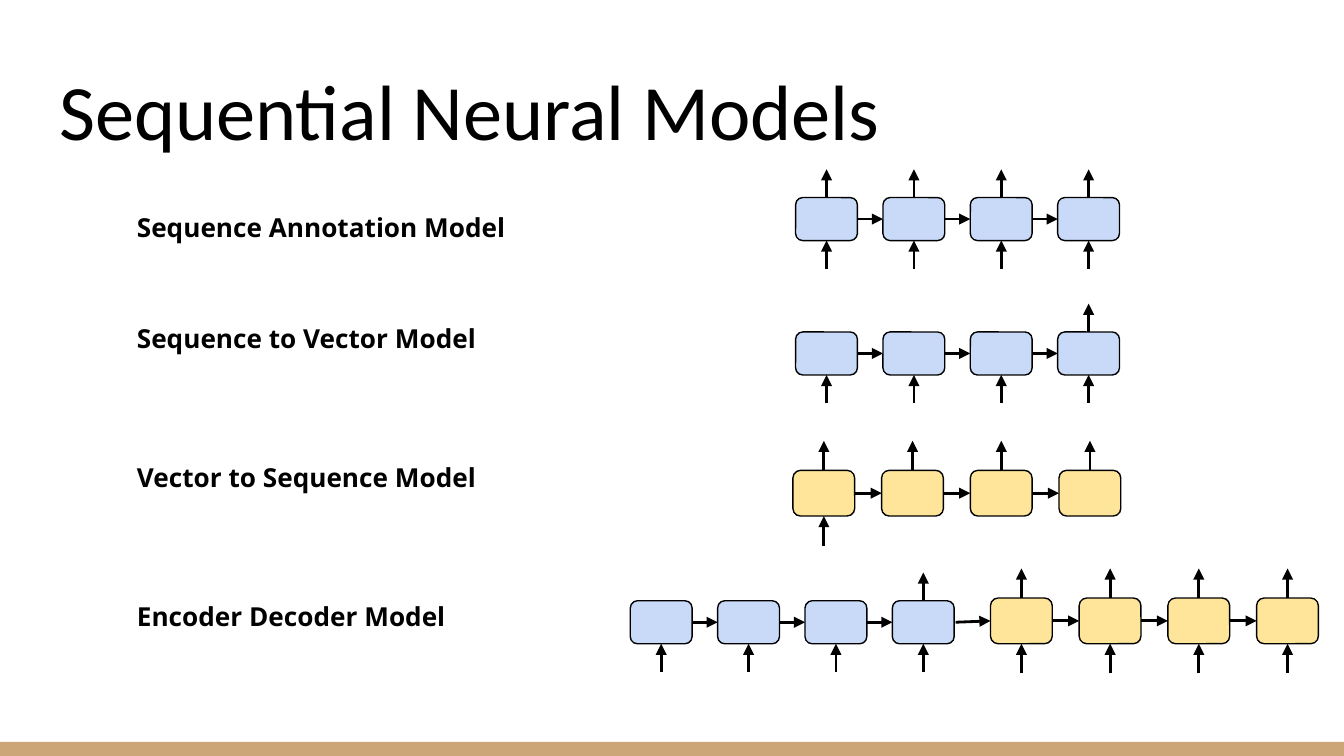
"""Build a slide that compares four sequential neural network layouts."""
from dataclasses import dataclass

from lxml import etree
from pptx import Presentation
from pptx.dml.color import RGBColor
from pptx.enum.shapes import MSO_CONNECTOR, MSO_SHAPE
from pptx.enum.text import MSO_ANCHOR, MSO_AUTO_SIZE, PP_ALIGN
from pptx.oxml.ns import qn
from pptx.shapes.connector import Connector
from pptx.shapes.shapetree import GroupShapes
from pptx.slide import Slide
from pptx.text.text import TextFrame
from pptx.util import Inches, Pt

STRAIGHT = MSO_CONNECTOR.STRAIGHT
RECTANGLE, ROUNDED = MSO_SHAPE.RECTANGLE, MSO_SHAPE.ROUNDED_RECTANGLE
TOP, BOTTOM = MSO_ANCHOR.TOP, MSO_ANCHOR.BOTTOM
LEFT = PP_ALIGN.LEFT
NO_AUTOFIT = MSO_AUTO_SIZE.NONE
TITLE_ONLY = 5
PAGE_WIDTH = Inches(10)
PAGE_HEIGHT = PAGE_WIDTH * 9 // 16


@dataclass(frozen=True)
class Theme:
    """Colours, fonts and type sizes of the slide."""
    ink: RGBColor = RGBColor.from_string("000000")
    band: RGBColor = RGBColor.from_string("CCA677")
    encoder: RGBColor = RGBColor.from_string("C9DAF8")
    decoder: RGBColor = RGBColor.from_string("FFE599")
    title_font: str = "Calibri"
    label_font: str = "Open Sans"
    title_size: float = 42
    label_size: float = 14
    outline: float = 0.75
    arrow: float = 1.5


THEME = Theme()


@dataclass(frozen=True)
class CellStyle:
    """Fill and measures, in inches, shared by the cells of a chain."""
    fill: RGBColor
    height: float
    pitch: float
    stem: float
    width: float = 0.46


@dataclass(frozen=True)
class Label:
    """Name of a model and the place of its text box."""
    text: str
    top: float
    width: float = 3.01


@dataclass(frozen=True)
class Chain:
    """Row of linked cells, with the cells that take input or give output."""
    left: float
    top: float
    style: CellStyle
    inputs: tuple[int, ...]
    outputs: tuple[int, ...]


CELL_COUNT = 4
ALL = tuple(range(CELL_COUNT))
FIRST, LAST = ALL[:1], ALL[-1:]
ENCODER = CellStyle(THEME.encoder, height=0.32, pitch=0.65, stem=0.21)
DECODER = CellStyle(THEME.decoder, height=0.34, pitch=0.66, stem=0.22)

LABELS = (
    Label("Sequence Annotation Model", 1.47, 3.51),
    Label("Sequence to Vector Model", 2.3),
    Label("Vector to Sequence Model", 3.33),
    Label("Encoder Decoder Model", 4.37),
)
CHAINS = (
    Chain(5.9, 3.5, DECODER, inputs=FIRST, outputs=ALL),
    Chain(5.92, 1.47, ENCODER, inputs=ALL, outputs=ALL),
    Chain(5.92, 2.47, ENCODER, inputs=ALL, outputs=LAST),
    Chain(4.69, 4.47, ENCODER, inputs=ALL, outputs=LAST),
    Chain(7.37, 4.45, DECODER, inputs=ALL, outputs=ALL),
)


def format_text(frame: TextFrame, text: str, font: str, size: float,
                bold: bool, anchor: MSO_ANCHOR) -> None:
    """Fill a text frame with one left-aligned paragraph."""
    frame.text = text
    frame.word_wrap = True
    frame.auto_size = NO_AUTOFIT
    frame.vertical_anchor = anchor
    frame.margin_left = frame.margin_right = Inches(0.1)
    frame.margin_top = frame.margin_bottom = Inches(0.1)
    para = frame.paragraphs[0]
    para.alignment = LEFT
    para.font.name = font
    para.font.size = Pt(size)
    para.font.bold = bold
    para.font.color.rgb = THEME.ink


def draw_title(page: Slide, text: str) -> None:
    """Place and format the title placeholder."""
    title = page.shapes.title
    title.left, title.top = Inches(0.34), Inches(0.35)
    title.width, title.height = Inches(9.32), Inches(0.91)
    format_text(title.text_frame, text, THEME.title_font, THEME.title_size,
                False, BOTTOM)


def draw_band(page: Slide) -> None:
    """Draw the coloured band along the foot of the slide."""
    top = Inches(5.52)
    band = page.shapes.add_shape(RECTANGLE, 0, top, PAGE_WIDTH, PAGE_HEIGHT - top)
    band.shadow.inherit = False
    band.fill.solid()
    band.fill.fore_color.rgb = THEME.band
    band.line.fill.background()


def draw_label(page: Slide, label: Label) -> None:
    """Write the name of a model."""
    box = page.shapes.add_textbox(Inches(0.92), Inches(label.top),
                                  Inches(label.width), Inches(0.49))
    format_text(box.text_frame, label.text, THEME.label_font, THEME.label_size,
                True, TOP)


def draw_arrow(shapes: GroupShapes, start: tuple[float, float],
               end: tuple[float, float]) -> Connector:
    """Draw a straight arrow between two points given in inches."""
    arrow = shapes.add_connector(STRAIGHT, *map(Inches, start + end))
    arrow.line.color.rgb = THEME.ink
    arrow.line.width = Pt(THEME.arrow)
    properties = arrow._element.spPr
    etree.SubElement(properties.find(qn("a:ln")), qn("a:tailEnd"), type="triangle")
    etree.SubElement(properties, qn("a:effectLst"))
    return arrow


def draw_cell(shapes: GroupShapes, left: float, top: float, style: CellStyle) -> None:
    """Draw one rounded cell."""
    cell = shapes.add_shape(ROUNDED, Inches(left), Inches(top),
                            Inches(style.width), Inches(style.height))
    cell.adjustments[0] = 0.167
    cell.shadow.inherit = False
    cell.fill.solid()
    cell.fill.fore_color.rgb = style.fill
    cell.line.color.rgb = THEME.ink
    cell.line.width = Pt(THEME.outline)


def draw_chain(page: Slide, chain: Chain) -> None:
    """Draw a group of cells with their links, inputs and outputs."""
    shapes = page.shapes.add_group_shape().shapes
    style = chain.style
    bottom = chain.top + style.height
    middle = chain.top + style.height / 2
    for index in ALL:
        left = chain.left + index * style.pitch
        center = left + style.width / 2
        draw_cell(shapes, left, chain.top, style)
        if index not in LAST:
            draw_arrow(shapes, (left + style.width, middle), (left + style.pitch, middle))
        if index in chain.inputs:
            draw_arrow(shapes, (center, bottom + style.stem), (center, bottom))
        if index in chain.outputs:
            draw_arrow(shapes, (center, chain.top), (center, chain.top - style.stem))


def main() -> None:
    """Build and save the deck."""
    deck = Presentation()
    deck.slide_width, deck.slide_height = PAGE_WIDTH, PAGE_HEIGHT
    page = deck.slides.add_slide(deck.slide_layouts[TITLE_ONLY])
    draw_band(page)
    draw_title(page, "Sequential Neural Models")
    for label in LABELS:
        draw_label(page, label)
    for chain in CHAINS:
        draw_chain(page, chain)
    draw_arrow(page.shapes, (7.11, 4.63), (7.37, 4.62))
    deck.save("out.pptx")


if __name__ == "__main__":
    main()
